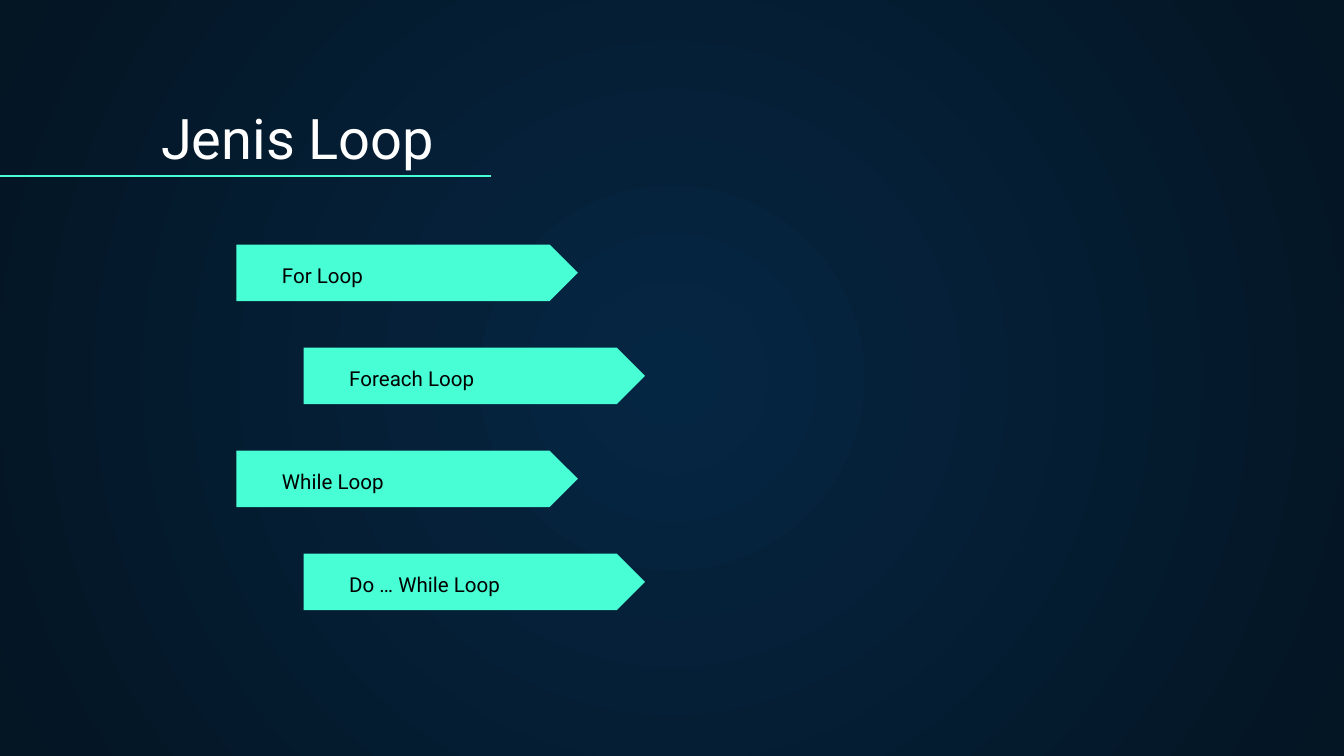
from dataclasses import dataclass

from lxml.etree import SubElement
from pptx import Presentation
from pptx.dml.color import RGBColor
from pptx.enum.shapes import MSO_CONNECTOR, MSO_SHAPE
from pptx.enum.text import MSO_ANCHOR
from pptx.oxml.ns import qn
from pptx.util import Inches, Pt


@dataclass(frozen=True)
class Theme:
    center: RGBColor = RGBColor(0x05, 0x26, 0x43)
    edge: RGBColor = RGBColor(0x04, 0x15, 0x23)
    accent: RGBColor = RGBColor(0x48, 0xFF, 0xD5)
    title: RGBColor = RGBColor(0xFF, 0xFF, 0xFF)
    label: RGBColor = RGBColor(0x00, 0x00, 0x00)
    font: str = "Roboto"
    title_size: float = 30
    label_size: float = 11


THEME = Theme()
LOOPS = ["For Loop", "Foreach Loop", "While Loop", "Do … While Loop"]


def add_text(slide, text, left, top, width, height, *, size, color):
    box = slide.shapes.add_textbox(
        Inches(left), Inches(top), Inches(width), Inches(height))
    frame = box.text_frame
    frame.word_wrap = True
    frame.vertical_anchor = MSO_ANCHOR.BOTTOM
    frame.margin_left = frame.margin_right = Inches(0.1)
    frame.margin_top = frame.margin_bottom = Inches(0.1)
    paragraph = frame.paragraphs[0]
    run = paragraph.add_run()
    run.text = text
    run.font.name = THEME.font
    run.font.size = Pt(size)
    run.font.color.rgb = color


def paint_background(slide):
    fill = slide.background.fill
    fill.gradient()
    for stop, color in zip(fill.gradient_stops, (THEME.center, THEME.edge)):
        stop.color.rgb = color
    # Turn the linear gradient into a circular one around the slide center
    gradient = slide.background._cSld.find(".//" + qn("a:gradFill"))
    gradient.remove(gradient.find(qn("a:lin")))
    circle = SubElement(gradient, qn("a:path"), {"path": "circle"})
    SubElement(circle, qn("a:fillToRect"),
               {side: "50000" for side in ("l", "t", "r", "b")})


def add_heading(slide, text, left, top, width, height):
    add_text(slide, text, left, top, width, height,
             size=THEME.title_size, color=THEME.title)
    # Rule from the slide edge to just past the title
    y = Inches(top + height - 0.06)
    rule = slide.shapes.add_connector(
        MSO_CONNECTOR.STRAIGHT, 0, y, Inches(left + 2.55), y)
    rule.line.color.rgb = THEME.accent
    rule.line.width = Pt(0.75)
    SubElement(rule._element.spPr, qn("a:effectLst"))


def add_arrow(slide, text, left, top, width, height):
    arrow = slide.shapes.add_shape(
        MSO_SHAPE.PENTAGON,
        Inches(left), Inches(top), Inches(width), Inches(height))
    arrow.shadow.inherit = False
    arrow.fill.solid()
    arrow.fill.fore_color.rgb = THEME.accent
    arrow.line.fill.background()
    add_text(slide, text, left + 0.24, top + height / 2 - 0.01,
             width - 0.27, height / 2,
             size=THEME.label_size, color=THEME.label)


def add_arrow_list(slide, labels, left, top, width, height):
    arrow_height, indent = 0.42, 0.5
    pitch = (height - arrow_height) / (len(labels) - 1)
    for index, label in enumerate(labels):
        add_arrow(slide, label, left + indent * (index % 2),
                  top + pitch * index, width - indent, arrow_height)


def main():
    presentation = Presentation()
    # Widescreen, 16:9
    presentation.slide_width = Inches(10)
    presentation.slide_height = Inches(10) * 9 // 16
    slide = presentation.slides.add_slide(presentation.slide_layouts[6])
    paint_background(slide)
    add_heading(slide, "Jenis Loop", 1.1, 0.71, 8.57, 0.66)
    add_arrow_list(slide, LOOPS, 1.76, 1.82, 3.04, 2.72)
    presentation.save("out.pptx")


if __name__ == "__main__":
    main()
